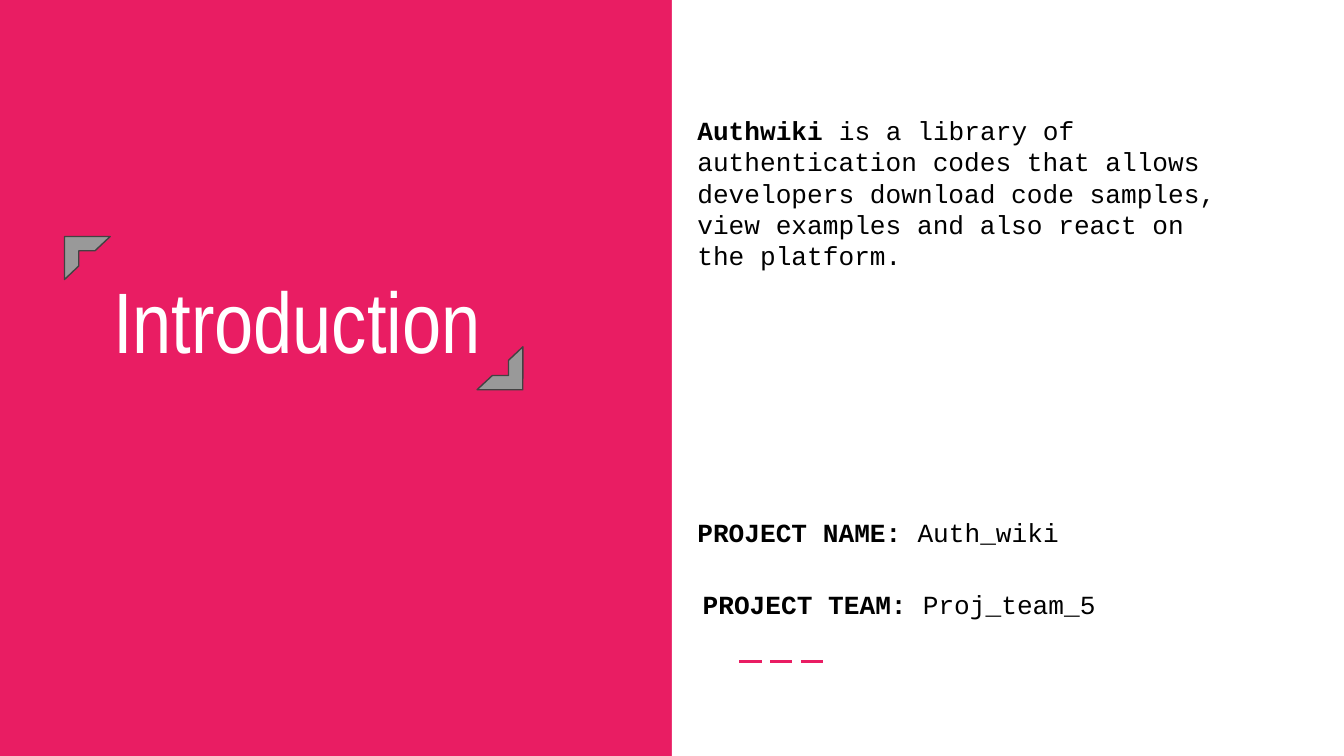
from lxml import etree
from pptx import Presentation
from pptx.dml.color import RGBColor
from pptx.enum.dml import MSO_LINE
from pptx.enum.shapes import MSO_CONNECTOR, MSO_SHAPE
from pptx.enum.text import MSO_ANCHOR, MSO_AUTO_SIZE, PP_ALIGN
from pptx.oxml.ns import qn
from pptx.util import Inches, Pt

RECTANGLE = MSO_SHAPE.RECTANGLE
HALF_FRAME = MSO_SHAPE.HALF_FRAME
STRAIGHT = MSO_CONNECTOR.STRAIGHT
LONG_DASH = MSO_LINE.LONG_DASH
MIDDLE = MSO_ANCHOR.MIDDLE
TOP = MSO_ANCHOR.TOP
CENTER = PP_ALIGN.CENTER
LEFT = PP_ALIGN.LEFT
NO_AUTOFIT = MSO_AUTO_SIZE.NONE
GROW = MSO_AUTO_SIZE.SHAPE_TO_FIT_TEXT

PINK = RGBColor(0xE9, 0x1D, 0x63)
WHITE = RGBColor(0xFF, 0xFF, 0xFF)
BLACK = RGBColor(0x00, 0x00, 0x00)
GRAY = RGBColor(0x99, 0x99, 0x99)
DARK_GRAY = RGBColor(0x42, 0x42, 0x42)

SLIDE_WIDTH = 10
SLIDE_HEIGHT = SLIDE_WIDTH * 9 / 16
HALF_WIDTH = SLIDE_WIDTH / 2
TITLE_ONLY_LAYOUT = 5


def format_frame(frame, anchor, auto_size):
    frame.word_wrap = True
    frame.auto_size = auto_size
    frame.vertical_anchor = anchor
    frame.margin_left = frame.margin_right = Inches(0.1)
    frame.margin_top = frame.margin_bottom = Inches(0.1)


def add_run(paragraph, text, font_name, size, color, bold=False):
    run = paragraph.add_run()
    run.text = text
    run.font.name = font_name
    run.font.size = Pt(size)
    run.font.color.rgb = color
    run.font.bold = bold


def add_panel(slide, left, top, width, height):
    panel = slide.shapes.add_shape(
        RECTANGLE, Inches(left), Inches(top), Inches(width), Inches(height))
    panel.shadow.inherit = False
    panel.fill.solid()
    panel.fill.fore_color.rgb = WHITE
    panel.line.fill.background()


def add_dashes(slide, left, top, width):
    dashes = slide.shapes.add_connector(
        STRAIGHT, Inches(left), Inches(top), Inches(left + width), Inches(top))
    dashes.line.color.rgb = PINK
    dashes.line.width = Pt(1.5)
    dashes.line.dash_style = LONG_DASH
    properties = dashes.element.find(qn("p:spPr"))
    etree.SubElement(properties, qn("a:effectLst"))


def add_labelled_text(slide, left, top, width, height, label, text):
    box = slide.shapes.add_textbox(
        Inches(left), Inches(top), Inches(width), Inches(height))
    format_frame(box.text_frame, TOP, GROW)
    paragraph = box.text_frame.paragraphs[0]
    paragraph.alignment = LEFT
    add_run(paragraph, label, "Courier New", 14, BLACK, bold=True)
    add_run(paragraph, text, "Courier New", 14, BLACK)


def add_corner(slide, left, top, rotation):
    corner = slide.shapes.add_shape(
        HALF_FRAME, Inches(left), Inches(top), Inches(0.34), Inches(0.32))
    corner.shadow.inherit = False
    corner.rotation = rotation
    corner.fill.solid()
    corner.fill.fore_color.rgb = GRAY
    corner.line.color.rgb = DARK_GRAY
    corner.line.width = Pt(0.75)


def fill_title_side(slide, left, top):
    title = slide.shapes.title
    title.left, title.top = Inches(left), Inches(top + 1.55)
    title.width, title.height = Inches(4.42), Inches(1.65)
    format_frame(title.text_frame, MIDDLE, NO_AUTOFIT)
    paragraph = title.text_frame.paragraphs[0]
    paragraph.alignment = CENTER
    add_run(paragraph, "Introduction", "Arial Narrow", 46, WHITE)
    add_corner(slide, left + 0.48, top + 1.76, 0)
    add_corner(slide, left + 3.55, top + 2.58, 180.1)


def fill_details_side(slide, left, top, width, height):
    add_panel(slide, left, top, width, height)
    add_dashes(slide, left + 0.5, top + 4.92, 0.63)
    details = [
        (0.09, 0.75, 1.38, "Authwiki ",
         "is a library of authentication codes that allows developers "
         "download code samples, view examples and also react on the platform."),
        (0.09, 3.74, 0.44, "PROJECT NAME: ", "Auth_wiki"),
        (0.13, 4.28, 0.44, "PROJECT TEAM: ", "Proj_team_5"),
    ]
    for indent, offset, box_height, label, text in details:
        add_labelled_text(
            slide, left + indent, top + offset, 4.22, box_height, label, text)


def main():
    presentation = Presentation()
    presentation.slide_width = Inches(SLIDE_WIDTH)
    presentation.slide_height = Inches(SLIDE_HEIGHT)
    slide = presentation.slides.add_slide(
        presentation.slide_layouts[TITLE_ONLY_LAYOUT])
    slide.background.fill.solid()
    slide.background.fill.fore_color.rgb = PINK
    fill_details_side(slide, HALF_WIDTH, 0, HALF_WIDTH, SLIDE_HEIGHT)
    fill_title_side(slide, 0, 0)
    presentation.save("out.pptx")


if __name__ == "__main__":
    main()
